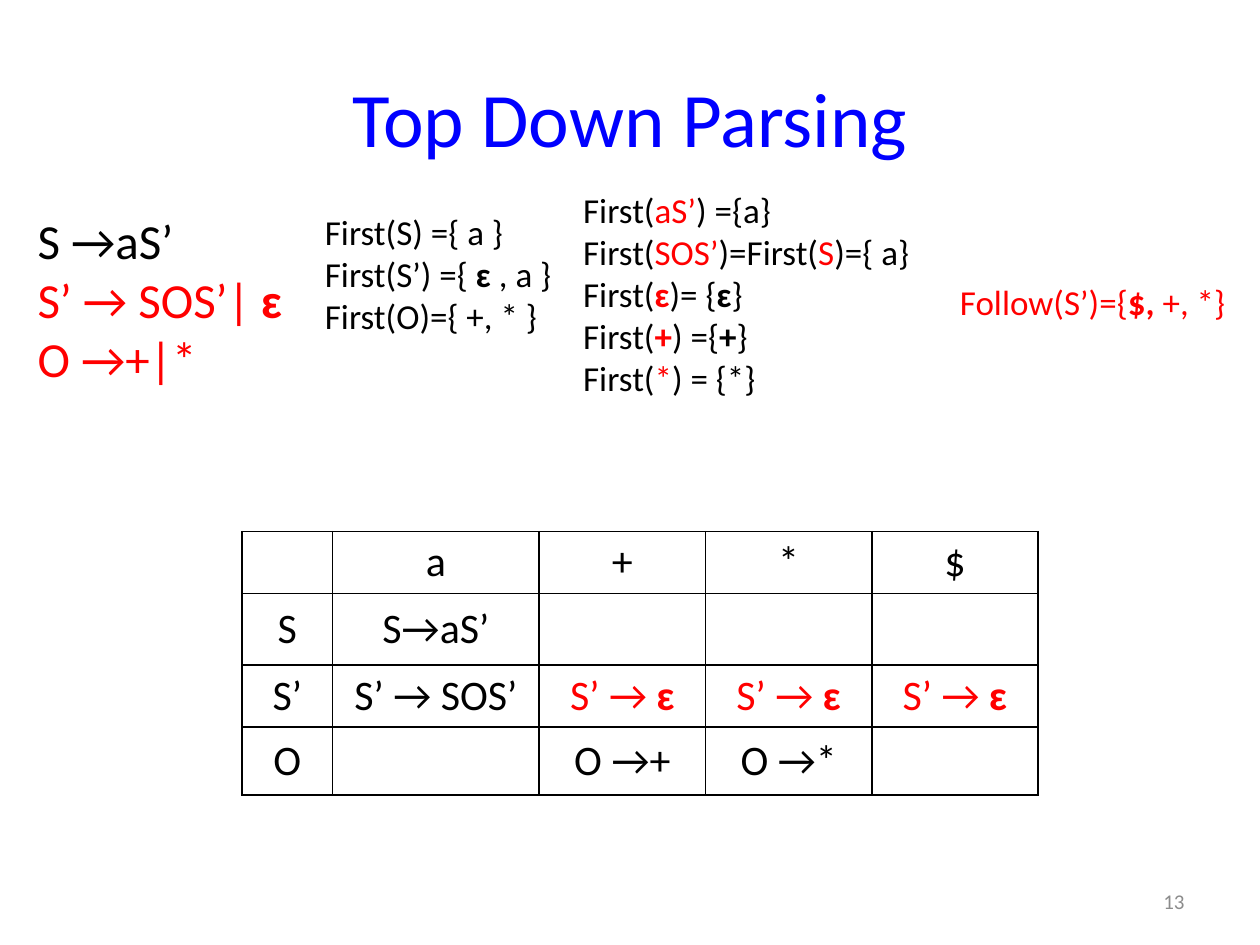
from lxml.etree import SubElement
from pptx import Presentation
from pptx.dml.color import RGBColor
from pptx.enum.text import MSO_ANCHOR as Anchor, MSO_AUTO_SIZE as AutoSize, PP_ALIGN as Align
from pptx.oxml.ns import qn
from pptx.util import Inches, Pt

COLORS = {"title": "0000FF", "text": "000000", "accent": "FF0000", "number": "8C8C8C"}
FONT = "Calibri"

# A line is a list of (text, colour name, bold) spans
def plain(text):
    return (text, "text", False)


def red(text, bold=False):
    return (text, "accent", bold)


def strong(text):
    return (text, "text", True)


GRAMMAR = [
    [plain("S →aS’")],
    [red("S’ → SOS’|"), red(" ɛ", True)],
    [red("O →+|*")],
]
FIRST_SYMBOLS = [
    [plain("First(S) ={ a }")],
    [plain("First(S’) ={ "), strong("ɛ "), plain(", a }")],
    [plain("First(O)={ +, * }")],
]
FIRST_BODIES = [
    [plain("First("), red("aS’"), plain(") ={a}")],
    [plain("First("), red("SOS’"), plain(")=First("), red("S"), plain(")={ a}")],
    [plain("First("), red("ɛ", True), plain(")= {"), strong("ɛ"), plain("}")],
    [plain("First("), red("+", True), plain(") ={"), strong("+"), plain("}")],
    [plain("First("), red("*"), plain(") = {*}")],
]
FOLLOW = [[red("Follow(S’)={"), red("$,", True), red(" +, *}")]]

EMPTY_RULE = [red("S’ →"), red(" ɛ", True)]
PARSE_TABLE = [
    [[], [plain("a")], [plain("+")], [plain("*")], [plain("$")]],
    [[plain("S")], [plain("S→aS’")], [], [], []],
    [[plain("S’")], [plain("S’ → SOS’")], EMPTY_RULE, EMPTY_RULE, EMPTY_RULE],
    [[plain("O")], [], [plain("O →+")], [plain("O →*")], []],
]
COLUMN_WIDTHS = [0.72, 1.64, 1.32, 1.32, 1.32]
ROW_HEIGHTS = [0.49, 0.57, 0.49, 0.54]


def set_values(target, **values):
    for name, value in values.items():
        setattr(target, name, value)


def write_lines(frame, lines, size, align=Align.LEFT):
    for index, line in enumerate(lines):
        para = frame.paragraphs[0] if index == 0 else frame.add_paragraph()
        para.alignment = align
        for text, color, bold in line:
            span = para.add_run()
            span.text = text
            set_values(span.font, name=FONT, size=Pt(size), bold=bold)
            span.font.color.rgb = RGBColor.from_string(COLORS[color])


def add_title(page, text):
    title = page.shapes.title
    set_values(title, left=Inches(0.5), top=Inches(0.3), width=Inches(9), height=Inches(1.25))
    title.text_frame.vertical_anchor = Anchor.MIDDLE
    write_lines(title.text_frame, [[(text, "title", False)]], 44, Align.CENTER)


def add_text(page, lines, area, size):
    box = page.shapes.add_textbox(*map(Inches, area))
    set_values(box.text_frame, word_wrap=False, auto_size=AutoSize.SHAPE_TO_FIT_TEXT)
    write_lines(box.text_frame, lines, size)


def add_page_number(page, number):
    box = page.shapes.add_textbox(Inches(7.17), Inches(6.95), Inches(2.33), Inches(0.4))
    set_values(box.text_frame, word_wrap=True, vertical_anchor=Anchor.MIDDLE)
    write_lines(box.text_frame, [[(number, "number", False)]], 12, Align.RIGHT)


def outline_cell(cell):
    properties = cell._tc.get_or_add_tcPr()
    for position, side in enumerate(("a:lnL", "a:lnR", "a:lnT", "a:lnB")):
        line = properties.makeelement(qn(side), {"w": str(Pt(1))})
        properties.insert(position, line)
        fill = SubElement(line, qn("a:solidFill"))
        SubElement(fill, qn("a:srgbClr"), val=COLORS["text"])


def add_parse_table(page):
    frame = page.shapes.add_table(
        len(ROW_HEIGHTS), len(COLUMN_WIDTHS), Inches(1.92), Inches(4.22),
        Inches(sum(COLUMN_WIDTHS)), Inches(sum(ROW_HEIGHTS)))
    table = frame.table
    set_values(table, first_row=False, horz_banding=False)
    for column, width in zip(table.columns, COLUMN_WIDTHS):
        column.width = Inches(width)
    for row, height, entries in zip(table.rows, ROW_HEIGHTS, PARSE_TABLE):
        row.height = Inches(height)
        for cell, entry in zip(row.cells, entries):
            set_values(cell, vertical_anchor=Anchor.MIDDLE, margin_top=0, margin_bottom=0,
                       margin_left=Inches(0.07), margin_right=Inches(0.07))
            cell.fill.background()
            outline_cell(cell)
            write_lines(cell.text_frame, [entry], 24, Align.CENTER)


def main():
    deck = Presentation()
    set_values(deck, slide_width=Inches(10), slide_height=Inches(7.5))
    page = deck.slides.add_slide(deck.slide_layouts[5])
    add_title(page, "Top Down Parsing")
    add_parse_table(page)

    # Grammar with its First and Follow sets
    add_text(page, GRAMMAR, (0.2, 1.62, 2.2, 1.51), 28)
    add_text(page, FOLLOW, (7.52, 2.18, 2.33, 0.44), 20)
    add_text(page, FIRST_SYMBOLS, (2.48, 1.62, 2.02, 1.11), 20)
    add_text(page, FIRST_BODIES, (4.53, 1.45, 2.82, 1.78), 20)

    add_page_number(page, "13")
    deck.save("out.pptx")


if __name__ == "__main__":
    main()
